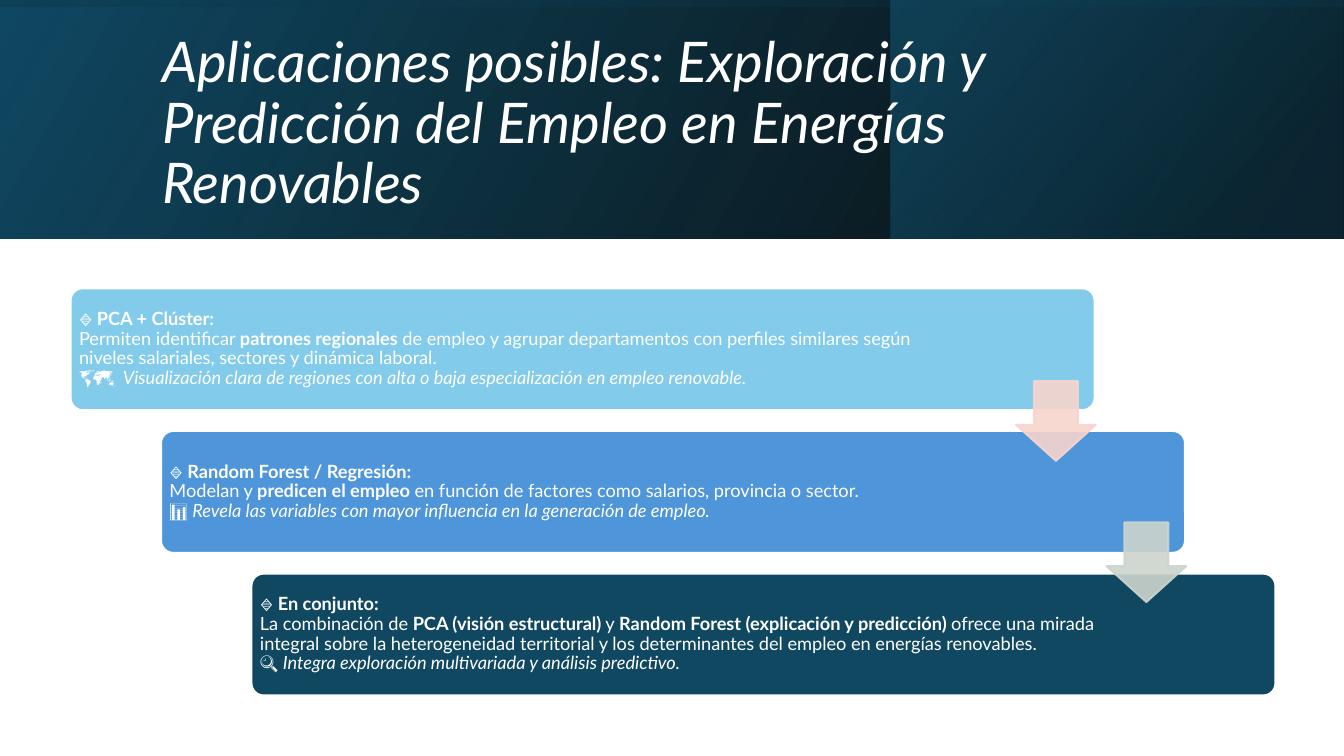
from copy import deepcopy
from dataclasses import dataclass
from typing import Any

from lxml.etree import SubElement
from pptx import Presentation
from pptx.dml.color import RGBColor as Rgb
from pptx.enum.shapes import MSO_SHAPE as Kind
from pptx.enum.text import MSO_ANCHOR as Anchor
from pptx.oxml.ns import qn
from pptx.util import Pt

COLORS = {
    "black": "000000", "white": "FFFFFF", "navy": "104862",
    "deep": "0B3041", "teal": "156082", "sky": "83CBEB",
    "blue": "4E95D9", "rose": "F7D5CE", "sage": "CCD4CD",
}
FONT = "Lato"


@dataclass
class Box:
    left: float
    top: float
    width: float
    height: float

    def shift(self, count: int, right: float, down: float) -> "Box":
        return Box(self.left + count * right, self.top + count * down,
                   self.width, self.height)


@dataclass
class Stop:
    pos: float
    color: str
    alpha: int = 100


@dataclass
class Band:
    box: Box
    stops: tuple[Stop, Stop]
    angle: float
    turn: float = 0


@dataclass
class Span:
    text: str
    bold: bool = False
    slant: bool = False


@dataclass
class Card:
    color: str
    width: float
    spans: list[Span]


BANDS = [
    Band(Box(0, 0, 960, 170.6),
         (Stop(0, "black", 96), Stop(1, "navy")), 30),
    Band(Box(636.5, 0, 322.9, 170.6),
         (Stop(0.19, "deep", 68), Stop(1, "teal", 48)), 40),
    Band(Box(394.7, -394.7, 170.6, 960),
         (Stop(0.23, "navy", 16), Stop(0.99, "black", 45)), 10, 270),
]
TITLE = ("Aplicaciones posibles: Exploración y Predicción del Empleo "
         "en Energías Renovables")
CARDS = [
    Card("sky", 637.2, [
        Span("🔹 PCA + Clúster:\n", bold=True),
        Span("Permiten identificar "),
        Span("patrones regionales", bold=True),
        Span(" de empleo y agrupar departamentos con perfiles similares "
             "según niveles salariales, sectores y dinámica laboral.\n🗺️ "),
        Span("Visualización clara de regiones con alta o baja "
             "especialización en empleo renovable.", slant=True),
    ]),
    Card("blue", 604.8, [
        Span("🔹 Random Forest / Regresión:\n", bold=True),
        Span("Modelan y "),
        Span("predicen el empleo", bold=True),
        Span(" en función de factores como salarios, provincia o "
             "sector.\n📊 "),
        Span("Revela las variables con mayor influencia en la generación "
             "de empleo.", slant=True),
    ]),
    Card("navy", 604.8, [
        Span("🔹 En conjunto:\n", bold=True),
        Span("La combinación de "),
        Span("PCA (visión estructural)", bold=True),
        Span(" y "),
        Span("Random Forest (explicación y predicción)", bold=True),
        Span(" ofrece una mirada integral sobre la heterogeneidad "
             "territorial y los determinantes del empleo en energías "
             "renovables.\n🔍 "),
        Span("Integra exploración multivariada y análisis predictivo.",
             slant=True),
    ]),
]
ARROWS = ["rose", "sage"]
CARD = Box(50.4, 205.9, 731.5, 87.1)
ARROW = Box(725.8, 272.2, 56.9, 56.9)
RIGHT, DOWN = 64.6, 101.9


def frame(box: Box) -> tuple[Pt, Pt, Pt, Pt]:
    return Pt(box.left), Pt(box.top), Pt(box.width), Pt(box.height)


def tint(color: Any, node: Any, name: str, alpha: int) -> None:
    """Set a colour, and its opacity in the XML below node."""
    color.rgb = Rgb.from_string(COLORS[name])
    if alpha < 100:
        mark = SubElement(node.find(".//" + qn("a:srgbClr")), qn("a:alpha"))
        mark.set("val", str(alpha * 1000))


def add_band(slide: Any, band: Band) -> None:
    shape = slide.shapes.add_shape(Kind.RECTANGLE, *frame(band.box))
    shape.shadow.inherit = False
    shape.line.fill.background()
    shape.rotation = band.turn
    props = shape._element.spPr
    props.find(qn("a:xfrm")).set("flipH", "1")
    shape.fill.gradient()
    shape.fill.gradient_angle = band.angle
    nodes = props.findall(".//" + qn("a:gs"))
    for stop, slot, node in zip(band.stops, shape.fill.gradient_stops, nodes):
        slot.position = stop.pos
        tint(slot.color, node, stop.color, stop.alpha)


def add_solid(slide: Any, kind: Kind, box: Box, adjust: list[float],
              fill: str, edge: str, alpha: int = 100) -> None:
    shape = slide.shapes.add_shape(kind, *frame(box))
    shape.shadow.inherit = False
    for index, value in enumerate(adjust):
        shape.adjustments[index] = value
    props = shape._element.spPr
    shape.fill.solid()
    tint(shape.fill.fore_color, props.find(qn("a:solidFill")), fill, alpha)
    shape.line.width = Pt(1.5)
    shape.line.fill.solid()
    tint(shape.line.fill.fore_color, props.find(qn("a:ln")), edge, alpha)


def add_text(slide: Any, box: Box, spans: list[Span], size: float,
             side: float, edge: float) -> None:
    body = slide.shapes.add_textbox(*frame(box)).text_frame
    body.word_wrap = True
    body.vertical_anchor = Anchor.MIDDLE
    body.margin_left = body.margin_right = Pt(side)
    body.margin_top = body.margin_bottom = Pt(edge)
    para = body.paragraphs[0]
    para.line_spacing = 0.9
    for span in spans:
        for index, line in enumerate(span.text.split("\n")):
            if index:
                para.add_line_break()
                # The break takes the size of the run before it
                para._p[-1].append(deepcopy(run._r.rPr))
            if not line:
                continue
            run = para.add_run()
            run.text = line
            font = run.font
            font.name, font.size = FONT, Pt(size)
            font.bold, font.italic = span.bold, span.slant
            font.color.rgb = Rgb.from_string(COLORS["white"])


def main() -> None:
    deck = Presentation()
    deck.slide_width, deck.slide_height = Pt(960), Pt(540)
    slide = deck.slides.add_slide(deck.slide_layouts[6])
    for band in BANDS:
        add_band(slide, band)
    add_text(slide, Box(108.7, 27.4, 765.4, 123.8),
             [Span(TITLE, slant=True)], 40, 7.2, 3.6)
    for row, card in enumerate(CARDS):
        box = CARD.shift(row, RIGHT, DOWN)
        add_solid(slide, Kind.ROUNDED_RECTANGLE, box, [0.1],
                  card.color, "white")
        inner = Box(box.left + 2.5, box.top + 2.5, card.width,
                    box.height - 5)
        add_text(slide, inner, card.spans, 13, 3.6, 3.6)
    for row, color in enumerate(ARROWS):
        add_solid(slide, Kind.DOWN_ARROW, ARROW.shift(row, RIGHT, DOWN - 1),
                  [0.55, 0.45], color, color, 90)
    deck.save("out.pptx")


if __name__ == "__main__":
    main()
